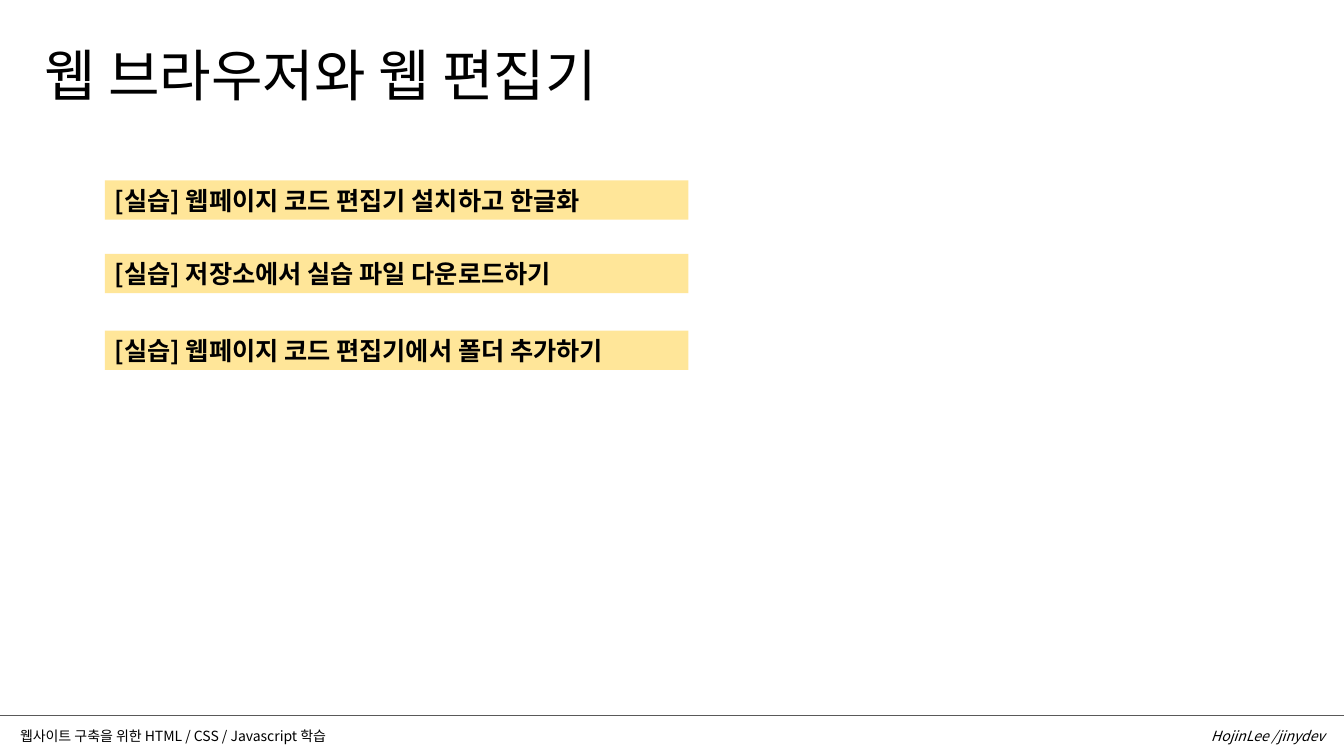
"""Build the practice list slide on web browsers and web editors."""
from lxml import etree
from pptx import Presentation
from pptx.dml.color import RGBColor as RGB
from pptx.enum.shapes import MSO_CONNECTOR as CONN, MSO_SHAPE as SHAPE
from pptx.enum.text import MSO_ANCHOR as ANCHOR, MSO_AUTO_SIZE as AUTO, PP_ALIGN as ALIGN
from pptx.oxml.ns import qn
from pptx.util import Pt

FONT = "Noto Sans CJK KR"
COLORS = {"text": "000000", "bar": "FFE699", "rule": "595959"}
WIDTH, HEIGHT = 960, 540
RULE_Y = 511.2
PRACTICES = [
    (128.9, "웹페이지 코드 편집기 설치하고 한글화"),
    (181.4, "저장소에서 실습 파일 다운로드하기"),
    (236.2, "웹페이지 코드 편집기에서 폴더 추가하기"),
]


def color(name):
    return RGB.from_string(COLORS[name])


def write(sp, text, size, align=ALIGN.LEFT, bold=False, italic=False, wrap=True):
    tf = sp.text_frame
    tf.text = text
    tf.word_wrap = wrap
    tf.auto_size = AUTO.NONE
    tf.vertical_anchor = ANCHOR.MIDDLE
    p = tf.paragraphs[0]
    p.alignment = align
    p.line_spacing = 1.0
    font = p.runs[0].font
    font.size, font.bold, font.italic, font.name = Pt(size), bold, italic, FONT
    font.color.rgb = color("text")
    ea = etree.SubElement(p.runs[0]._r.get_or_add_rPr(), qn("a:ea"))
    ea.set("typeface", FONT)


def add_title(s, text):
    sp = s.shapes.title
    sp.left, sp.top, sp.width, sp.height = Pt(24.5), Pt(25.2), Pt(480.2), Pt(55.4)
    write(sp, text, 40)


def add_practice(s, top, text):
    sp = s.shapes.add_shape(SHAPE.RECTANGLE, Pt(74.9), Pt(top), Pt(416.9), Pt(28))
    sp.shadow.inherit = False
    sp.fill.solid()
    sp.fill.fore_color.rgb = color("bar")
    sp.line.fill.background()
    write(sp, f"[실습] {text}", 18, bold=True, wrap=False)


def add_rule(s):
    line = s.shapes.add_connector(CONN.STRAIGHT, 0, Pt(RULE_Y), Pt(WIDTH), Pt(RULE_Y))
    line.line.color.rgb = color("rule")
    line.line.width = Pt(0.5)
    etree.SubElement(line._element.spPr, qn("a:effectLst"))


def add_footer(s, left, width, text, **style):
    sp = s.shapes.add_textbox(Pt(left), Pt(516.2), Pt(width), Pt(19.4))
    write(sp, text, 10, **style)


def main():
    prs = Presentation()
    prs.slide_width, prs.slide_height = Pt(WIDTH), Pt(HEIGHT)
    s = prs.slides.add_slide(prs.slide_layouts[5])
    add_title(s, "웹 브라우저와 웹 편집기")
    for top, text in PRACTICES:
        add_practice(s, top, text)
    add_rule(s)
    add_footer(s, 7.2, 303.1, "웹사이트 구축을 위한 HTML / CSS / Javascript 학습")
    add_footer(s, 730.8, 222.5, "HojinLee /jinydev", align=ALIGN.RIGHT, italic=True)
    prs.save("out.pptx")


if __name__ == "__main__":
    main()
